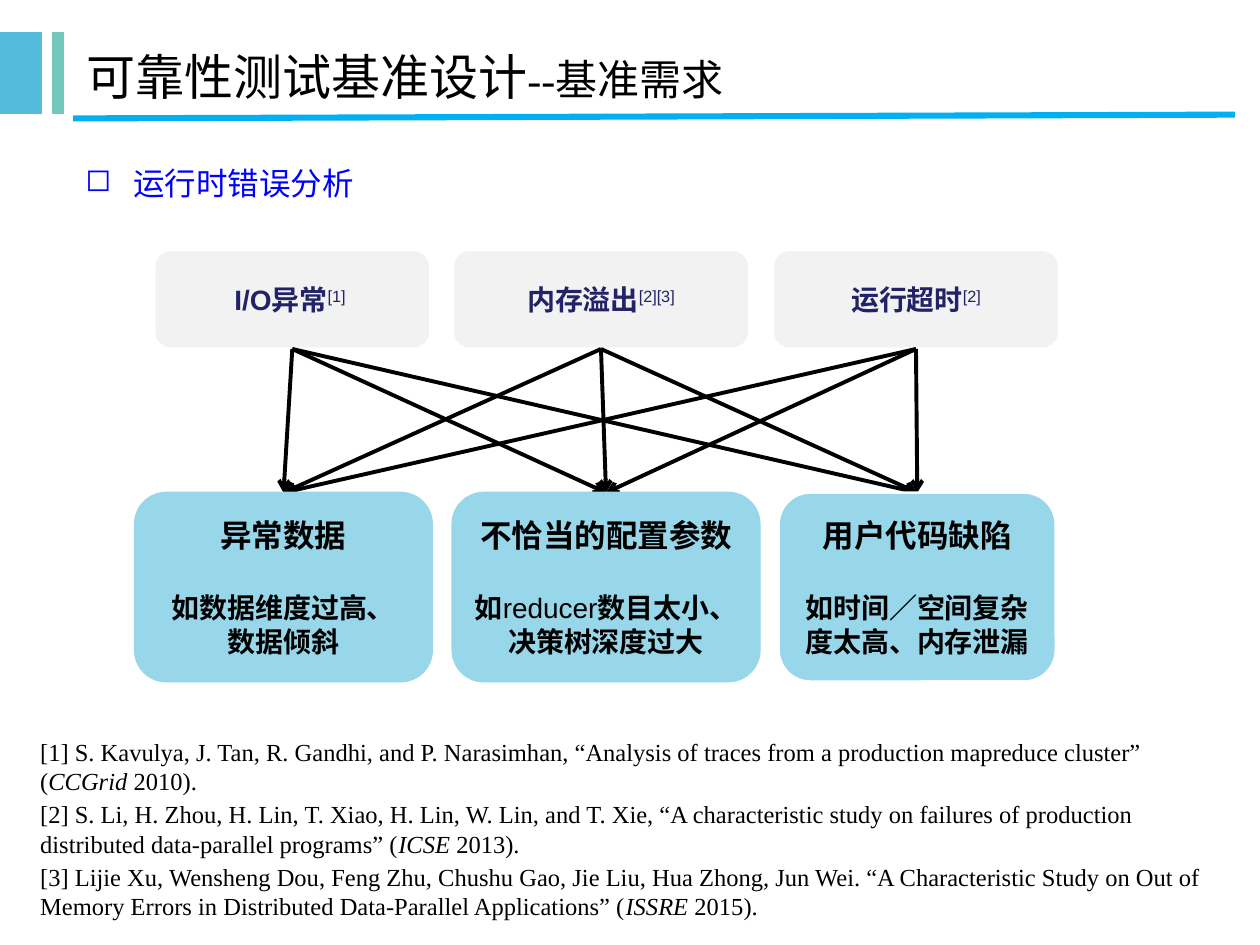
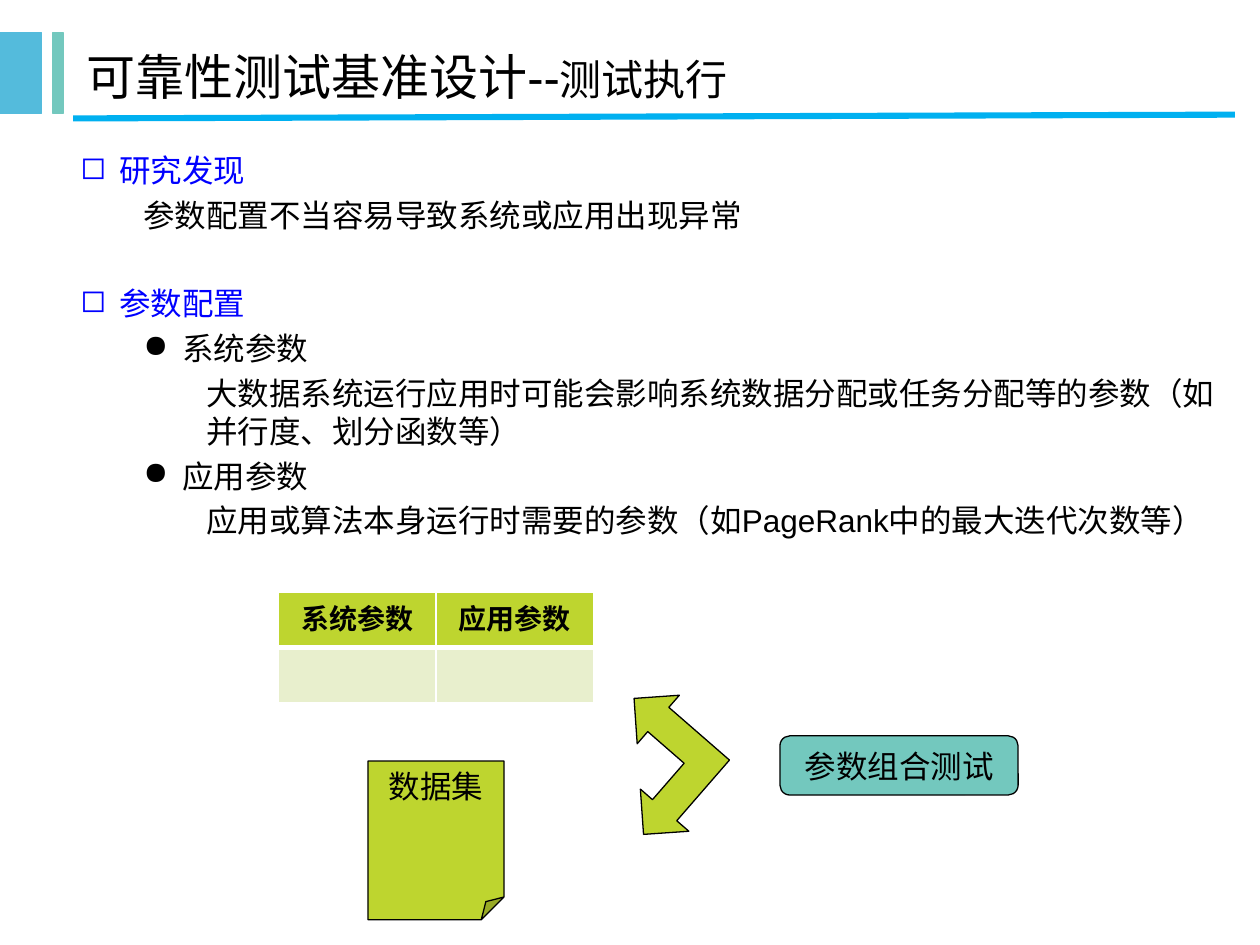
from dataclasses import dataclass
from itertools import product
from typing import Any

from lxml.etree import SubElement
from pptx import Presentation
from pptx.dml.color import RGBColor
from pptx.enum.lang import MSO_LANGUAGE_ID
from pptx.enum.shapes import MSO_CONNECTOR, MSO_SHAPE
from pptx.enum.text import MSO_ANCHOR, PP_ALIGN
from pptx.oxml.ns import qn
from pptx.util import Inches, Pt

WIDE, HIGH = Inches(10), Inches(7.5)
COLS, ROWS = 100, 75

BLACK = RGBColor(0x00, 0x00, 0x00)
WHITE = RGBColor(0xFF, 0xFF, 0xFF)
BLUE = RGBColor(0x00, 0x00, 0xFF)
NAVY = RGBColor(0x22, 0x22, 0x67)
SKY = RGBColor(0x54, 0xBB, 0xDC)
TEAL = RGBColor(0x73, 0xC8, 0xBE)
RULE = RGBColor(0x00, 0xB0, 0xF0)
GRAY = RGBColor(0xF2, 0xF2, 0xF2)
PALE = RGBColor(0x98, 0xD6, 0xEA)
LIME = RGBColor(0xBE, 0xD5, 0x2F)
MIST = RGBColor(0xE8, 0xEF, 0xCD)

SANS, SERIF, HAN = "Arial", "Times New Roman", "Noto Sans CJK SC"


@dataclass(frozen=True)
class Box:
    col: float
    row: float
    wide: float
    high: float

    def place(self) -> tuple[int, int, int, int]:
        return across(self.col), down(self.row), across(self.wide), down(self.high)

    def top(self) -> tuple[float, float]:
        return self.col + self.wide / 2, self.row

    def foot(self) -> tuple[float, float]:
        return self.col + self.wide / 2, self.row + self.high


@dataclass(frozen=True)
class Run:
    text: str
    size: float = 18
    color: RGBColor = BLACK
    bold: bool = False
    italic: bool = False
    lift: int = 0
    face: str = SANS
    han: str = SANS


@dataclass(frozen=True)
class Para:
    runs: tuple[Run, ...]
    level: int = 0
    left: float = 0
    hang: float = 0
    mark: str = ""
    before: float = 0
    after: float = 0
    align: PP_ALIGN = PP_ALIGN.LEFT


@dataclass(frozen=True)
class Card:
    box: Box
    fill: RGBColor
    edge: RGBColor
    weight: float
    paras: tuple[Para, ...] = ()
    kind: MSO_SHAPE = MSO_SHAPE.ROUNDED_RECTANGLE
    anchor: MSO_ANCHOR = MSO_ANCHOR.MIDDLE
    turn: float = 0


def across(cols: float) -> int:
    return round(WIDE * cols / COLS)


def down(rows: float) -> int:
    return round(HIGH * rows / ROWS)


def apply(item: Any, form: dict[str, Any]) -> None:
    for name, value in form.items():
        setattr(item, name, value)


def write(frame: Any, paras: tuple[Para, ...]) -> None:
    for spot, para in enumerate(paras):
        line = frame.add_paragraph() if spot else frame.paragraphs[0]
        apply(line, {"alignment": para.align, "level": para.level,
                     "space_before": Pt(para.before), "space_after": Pt(para.after)})
        props = line._p.get_or_add_pPr()
        props.set("marL", str(across(para.left)))
        props.set("indent", str(-across(para.hang)))
        if para.mark:
            SubElement(props, qn("a:buChar")).set("char", para.mark)
        for run in para.runs:
            part = line.add_run()
            part.text = run.text
            apply(part.font, {"size": Pt(run.size), "bold": run.bold, "italic": run.italic,
                              "name": run.face,
                              "language_id": MSO_LANGUAGE_ID.SIMPLIFIED_CHINESE})
            part.font.color.rgb = run.color
            look = part._r.get_or_add_rPr()
            SubElement(look, qn("a:ea")).set("typeface", run.han)
            if run.lift:
                look.set("baseline", str(run.lift * 1000))


def note(slide: Any, box: Box, paras: tuple[Para, ...]) -> None:
    frame = slide.shapes.add_textbox(*box.place()).text_frame
    frame.word_wrap = True
    write(frame, paras)


def draw(slide: Any, card: Card) -> None:
    shape = slide.shapes.add_shape(card.kind, *card.box.place())
    shape.shadow.inherit = False
    shape.rotation = card.turn
    shape.fill.solid()
    shape.fill.fore_color.rgb = card.fill
    shape.line.color.rgb = card.edge
    shape.line.width = Pt(card.weight)
    apply(shape.text_frame, {"word_wrap": True, "vertical_anchor": card.anchor})
    write(shape.text_frame, card.paras)


def link(slide: Any, start: tuple[float, float], end: tuple[float, float],
         color: RGBColor, weight: float, arrow: bool = False) -> None:
    line = slide.shapes.add_connector(MSO_CONNECTOR.STRAIGHT, across(start[0]), down(start[1]),
                                      across(end[0]), down(end[1]))
    line.line.color.rgb = color
    line.line.width = Pt(weight)
    if arrow:
        SubElement(line.line._get_or_add_ln(), qn("a:tailEnd")).set("type", "arrow")
    SubElement(line._element.spPr, qn("a:effectLst"))


def start(deck: Any, title: tuple[Run, ...]) -> Any:
    slide = deck.slides.add_slide(deck.slide_layouts[5])
    for col, wide, color in ((0, 3.3, SKY), (4.2, 0.8, TEAL)):
        draw(slide, Card(Box(col, 2.6, wide, 6.4), color, color, 0.75, kind=MSO_SHAPE.RECTANGLE))
    head = slide.shapes.title
    spot = Box(5.9, 2.6, 89.1, 6.9).place()
    apply(head, dict(zip(("left", "top", "width", "height"), spot)))
    head.text_frame.vertical_anchor = MSO_ANCHOR.MIDDLE
    write(head.text_frame, (Para(title),))
    link(slide, (5.8, 9.4), (98, 9.1), RULE, 3.5)
    return slide


def mid(*runs: Run, before: float = 0) -> Para:
    return Para(runs, before=before, align=PP_ALIGN.CENTER)


def fault(col: float, wide: float, name: str, cite: str) -> Card:
    text = mid(Run(name, 16, NAVY, True), Run(cite, 16, NAVY, lift=30))
    return Card(Box(col, 19.8, wide, 7.9), GRAY, WHITE, 2, (text,))


def cause(col: float, wide: float, edge: RGBColor, weight: float,
          name: str, *lines: tuple[Run, ...]) -> Card:
    text = tuple(mid(*runs, before=0 if spot else 21) for spot, runs in enumerate(lines))
    return Card(Box(col, 39.1, wide, 15), PALE, edge, weight,
                (mid(Run(name, bold=True)), *text))


def paper(lead: str, venue: str, year: str) -> Para:
    runs = (Run(lead, 14, face=SERIF), Run(venue, 14, italic=True, face=SERIF),
            Run(year, 14, face=SERIF))
    return Para(runs, before=1, after=1)


def strong(text: str) -> Run:
    return Run(text, 16, bold=True)


def errors(deck: Any) -> None:
    slide = start(deck, (Run("可靠性测试基准设计", 28, han=HAN),
                         Run("--", 24, face=SERIF, han=HAN), Run("基准需求", 24, han=HAN)))
    note(slide, Box(5.8, 12.5, 25.8, 4),
         (Para((Run("运行时错误分析", color=BLUE),), left=3.8, hang=3.8, mark="◻"),))
    faults = (fault(12.2, 22, "I/O异常", "[1] "),
              fault(35.9, 23.6, "内存溢出", "[2][3]"),
              fault(61.3, 22.8, "运行超时", "[2]"))
    causes = (
        cause(10.7, 23.6, PALE, 1, "异常数据",
              (strong("如数据维度过高、"),), (strong("数据倾斜"),)),
        cause(35.9, 24.4, PALE, 1, "不恰当的配置参数",
              (strong("如"), Run("reducer", 16), strong("数目太小、决策树深度过大"))),
        cause(61.8, 22, WHITE, 1.5, "用户代码缺陷",
              (strong("如时间／空间复杂度太高、内存泄漏"),)),
    )
    for card in faults:
        draw(slide, card)
    for high, low in product(faults, causes):
        link(slide, high.box.foot(), low.box.top(), BLACK, 2.25, True)
    for card in causes:
        draw(slide, card)
    note(slide, Box(2.2, 58, 95.5, 15.6), (
        paper("[1] S. Kavulya, J. Tan, R. Gandhi, and P. Narasimhan, “Analysis of traces from "
              "a production mapreduce cluster” (", "CCGrid ", "2010)."),
        paper("[2] S. Li, H. Zhou, H. Lin, T. Xiao, H. Lin, W. Lin, and T. Xie, “A characteristic "
              "study on failures of production distributed data-parallel programs” (",
              "ICSE ", "2013)."),
        paper("[3] Lijie Xu, Wensheng Dou, Feng Zhu, Chushu Gao, Jie Liu, Hua Zhong, Jun Wei. "
              "“A Characteristic Study on Out of Memory Errors in Distributed Data-Parallel "
              "Applications” (", "ISSRE", " 2015)."),
    ))


def topic(text: str, before: float = 0) -> Para:
    return Para((Run(text, color=BLUE),), 0, 3.1, 3.1, "◻", before, 4)


def point(text: str) -> Para:
    return Para((Run(text),), 1, 8.1, 3.1, "●", after=4)


def plain(text: str, level: int) -> Para:
    return Para((Run(text),), level, 5 * level, after=4)


def table(slide: Any, box: Box, heads: tuple[str, ...]) -> None:
    grid = slide.shapes.add_table(2, len(heads), *box.place()).table
    apply(grid, {"first_row": False, "horz_banding": False})
    for row, col in product(range(2), range(len(heads))):
        cell = grid.cell(row, col)
        cell.vertical_anchor = MSO_ANCHOR.MIDDLE
        if row == 0:
            write(cell.text_frame, (mid(strong(heads[col])),))
        props = cell._tc.get_or_add_tcPr()
        for side in "LRTB":
            thick = (row, side) in ((0, "B"), (1, "T"))
            edge = SubElement(props, qn(f"a:ln{side}"), w=str(Pt(3 if thick else 1)))
            paint = SubElement(edge, qn("a:solidFill"))
            SubElement(paint, qn("a:srgbClr"), val=str(WHITE))
        cell.fill.solid()
        cell.fill.fore_color.rgb = MIST if row else LIME


def tests(deck: Any) -> None:
    slide = start(deck, (Run("可靠性测试基准设计--", 28, han=HAN), Run("测试执行", 24, han=HAN)))
    note(slide, Box(5.4, 11.5, 92.6, 35.4), (
        topic("研究发现"),
        plain("参数配置不当容易导致系统或应用出现异常", 1),
        topic("参数配置", 25),
        point("系统参数"),
        plain("大数据系统运行应用时可能会影响系统数据分配或任务分配等的参数（如并行度、划分函数等）", 2),
        point("应用参数"),
        plain("应用或算法本身运行时需要的参数（如PageRank中的最大迭代次数等）", 2),
    ))
    table(slide, Box(22.1, 47, 25, 8.8), ("系统参数", "应用参数"))
    for card in (
        Card(Box(29.2, 60.4, 10.8, 12.6), LIME, BLACK, 0.75, (mid(Run("数据集")),),
             MSO_SHAPE.FOLDED_CORNER, MSO_ANCHOR.TOP),
        Card(Box(47.4, 55.6, 10.2, 10.2), LIME, BLACK, 0.75,
             kind=MSO_SHAPE.LEFT_UP_ARROW, turn=311),
        Card(Box(61.9, 58.4, 18.9, 4.7), TEAL, BLACK, 0.75, (mid(Run("参数组合测试")),)),
    ):
        draw(slide, card)


def main() -> None:
    deck = Presentation()
    apply(deck, {"slide_width": WIDE, "slide_height": HIGH})
    errors(deck)
    tests(deck)
    deck.save("out.pptx")


if __name__ == "__main__":
    main()
